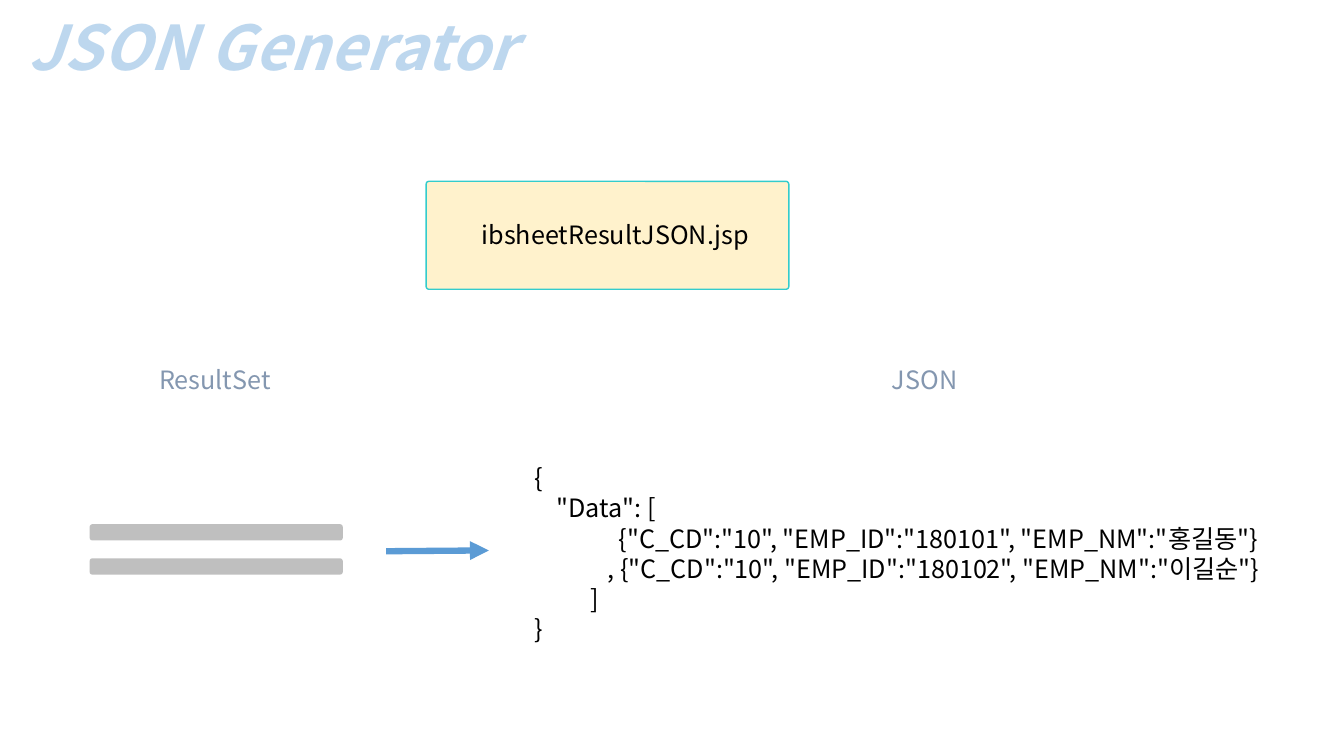
from dataclasses import dataclass

from lxml.etree import SubElement
from pptx import Presentation
from pptx.dml.color import RGBColor
from pptx.enum.shapes import MSO_CONNECTOR, MSO_SHAPE
from pptx.enum.text import MSO_ANCHOR, MSO_AUTO_SIZE, PP_ALIGN
from pptx.oxml.ns import qn
from pptx.util import Cm, Pt


@dataclass(frozen=True)
class Theme:
    font: str = "Noto Sans CJK KR"
    title: str = "BDD7EE"
    text: str = "000000"
    label: str = "8497B0"
    bar: str = "BFBFBF"
    arrow: str = "5B9BD5"
    panel: str = "FFF2CC"
    panel_edge: str = "33CCCC"
    title_size: float = 44
    body_size: float = 18


THEME = Theme()
JSON_LINES = [
    '{',
    '    "Data": [',
    '               {"C_CD":"10", "EMP_ID":"180101", "EMP_NM":"홍길동"}',
    '             , {"C_CD":"10", "EMP_ID":"180102", "EMP_NM":"이길순"}',
    '          ]',
    '}',
]


def rgb(value):
    return RGBColor.from_string(value)


def write(sp, lines, color, size=THEME.body_size, wrap=False, emphasis=False):
    """Fill a shape with one paragraph per line at a fixed 1.2 line pitch."""
    tf = sp.text_frame
    tf.word_wrap = wrap
    tf.auto_size = MSO_AUTO_SIZE.SHAPE_TO_FIT_TEXT
    tf.vertical_anchor = MSO_ANCHOR.TOP
    tf.margin_left = tf.margin_right = Cm(0.25)
    drop = 0.07 * size  # centres the tall font in its fixed pitch
    tf.margin_top, tf.margin_bottom = Pt(3.6 + drop), Pt(3.6 - drop)
    for i, line in enumerate(lines):
        p = tf.paragraphs[0] if i == 0 else tf.add_paragraph()
        p.alignment = PP_ALIGN.LEFT
        p.line_spacing = Pt(1.2 * size)
        r = p.add_run()
        r.text = line
        r.font.name, r.font.size = THEME.font, Pt(size)
        r.font.color.rgb = rgb(color)
        if emphasis:
            r.font.bold = r.font.italic = True
        SubElement(r.font._element, qn("a:ea"), typeface=THEME.font)


def add_text(shapes, box, lines, color, **style):
    write(shapes.add_textbox(*map(Cm, box)), lines, color, **style)


def add_block(shapes, kind, box, fill, edge=None):
    sp = shapes.add_shape(kind, *map(Cm, box))
    sp.shadow.inherit = False
    sp.fill.solid()
    sp.fill.fore_color.rgb = rgb(fill)
    if edge:
        sp.line.color.rgb = rgb(edge)
        sp.line.width = Pt(1)
    else:
        sp.line.fill.background()
    return sp


def add_file_panel(s, box):
    left, top, width, height = box
    group = s.shapes.add_group_shape().shapes
    panel = add_block(group, MSO_SHAPE.ROUNDED_RECTANGLE, box, THEME.panel, THEME.panel_edge)
    panel.adjustments[0] = 0.026
    name_box = (left + 1.15, top + 0.79, width - 1.82, 1.02)
    name = add_block(group, MSO_SHAPE.RECTANGLE, name_box, THEME.panel)
    write(name, ["ibsheetResultJSON.jsp"], THEME.text)


def add_result_set(s, box, rows=2):
    """Draw the rows of the result set as bars spread over the box."""
    left, top, width, height = box
    bar = 0.41
    pitch = (height - bar) / (rows - 1)
    for i in range(rows):
        add_block(s.shapes, MSO_SHAPE.ROUNDED_RECTANGLE,
                  (left, top + i * pitch, width, bar), THEME.bar)


def add_arrow(s, start, end):
    c = s.shapes.add_connector(MSO_CONNECTOR.STRAIGHT, *map(Cm, start + end))
    c.line.color.rgb = rgb(THEME.arrow)
    c.line.width = Pt(4.5)
    SubElement(c.line._get_or_add_ln(), qn("a:tailEnd"), type="triangle")
    SubElement(c._element.spPr, qn("a:effectLst"))


def build_generator_slide(prs):
    s = prs.slides.add_slide(prs.slide_layouts[6])
    add_text(s.shapes, (13.21, 11.48, 19.81, 4.88), JSON_LINES, THEME.text, wrap=True)
    add_result_set(s, (2.26, 13.21, 6.38, 1.27))
    add_arrow(s, (9.73, 13.89), (12.32, 13.87))
    add_text(s.shapes, (0.48, 0, 13.84, 2.13), ["JSON Generator"], THEME.title,
             size=THEME.title_size, emphasis=True)
    add_file_panel(s, (10.74, 4.57, 9.14, 2.72))
    for label, left, width in (("ResultSet", 3.76, 3.35), ("JSON", 22.23, 2.18)):
        add_text(s.shapes, (left, 9.02, width, 1.02), [label], THEME.label)


def main():
    prs = Presentation()
    prs.slide_width, prs.slide_height = Cm(33.87), Cm(19.05)
    build_generator_slide(prs)
    prs.save("out.pptx")


if __name__ == "__main__":
    main()
